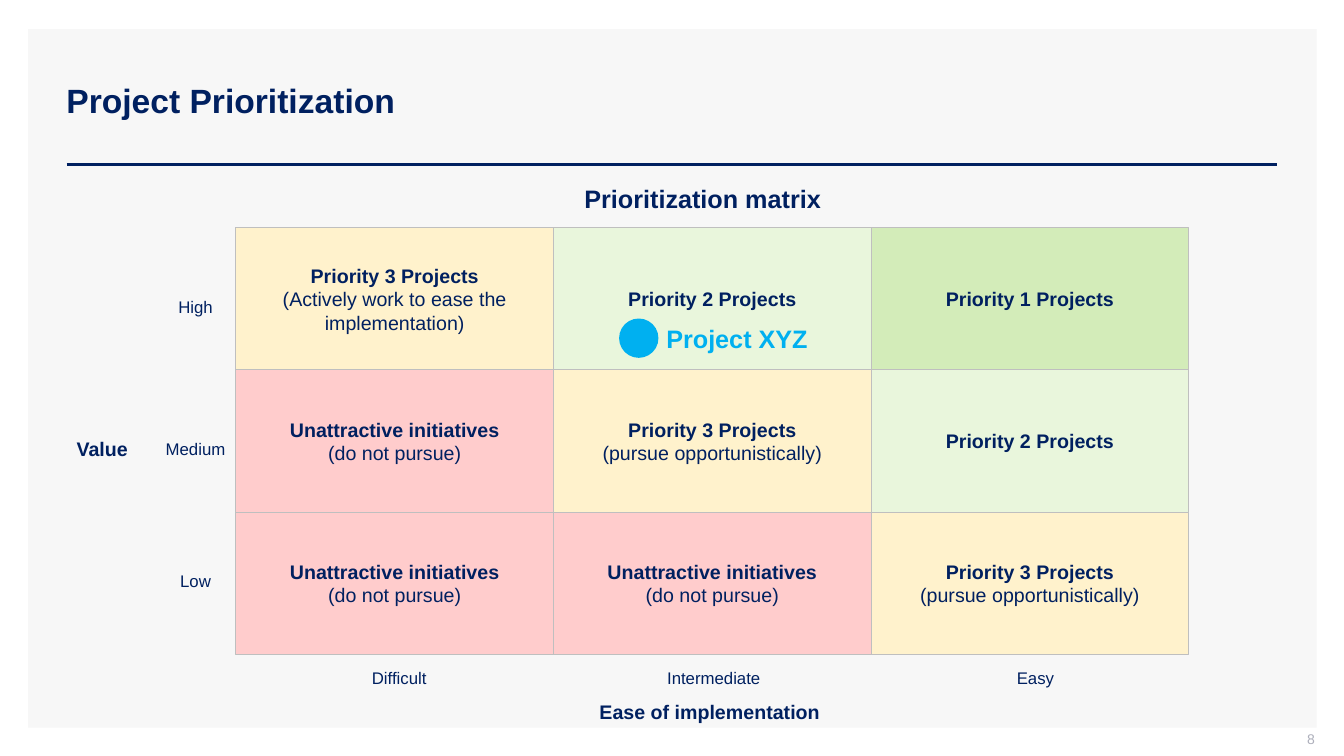
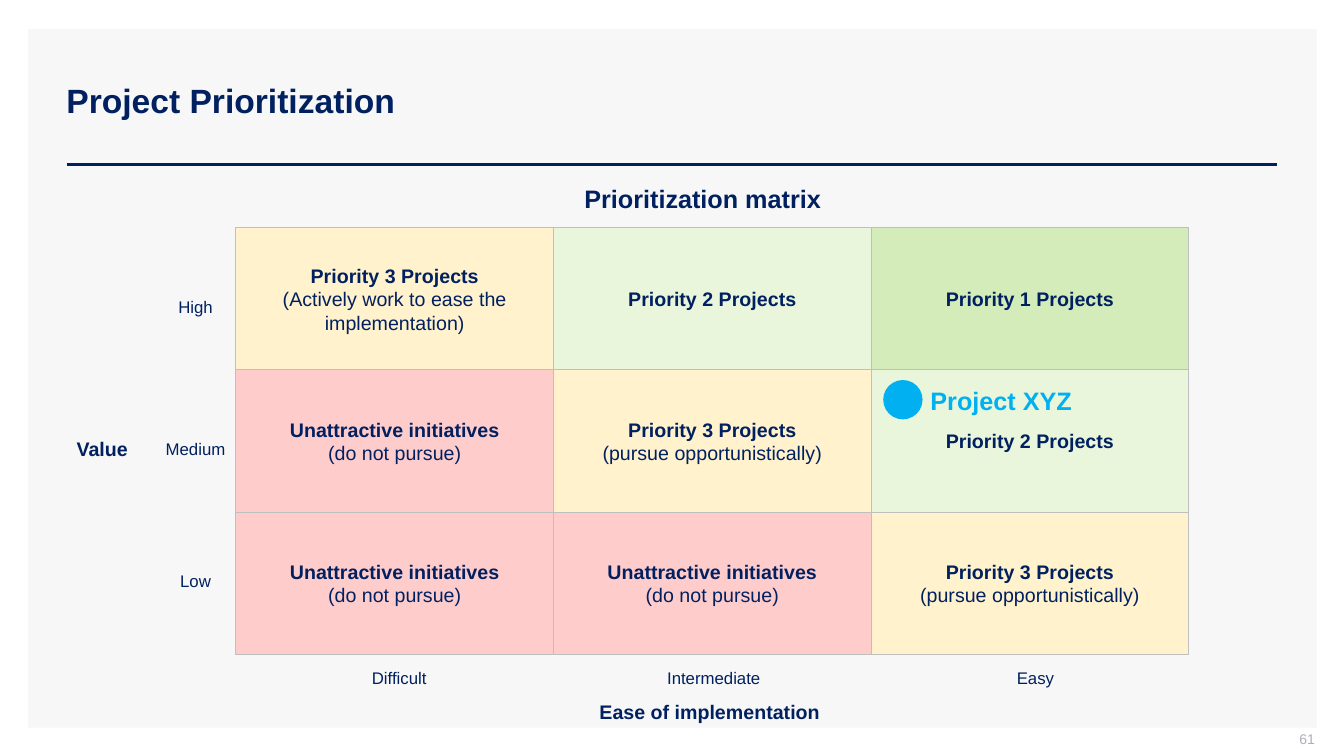
from pptx import Presentation
from pptx.dml.color import RGBColor
from pptx.enum.shapes import MSO_CONNECTOR, MSO_SHAPE
from pptx.enum.text import MSO_ANCHOR, PP_ALIGN
from pptx.oxml.ns import qn
from pptx.util import Inches, Pt
from lxml import etree

LEFT, CENTER, RIGHT = PP_ALIGN.LEFT, PP_ALIGN.CENTER, PP_ALIGN.RIGHT
TOP, MIDDLE = MSO_ANCHOR.TOP, MSO_ANCHOR.MIDDLE
RECTANGLE, OVAL = MSO_SHAPE.RECTANGLE, MSO_SHAPE.OVAL
STRAIGHT = MSO_CONNECTOR.STRAIGHT

FONT = "Arial"
NAVY, BLUE, GRAY = "002060", "00B0F0", "ADAFBB"
PANEL, BORDER = "F7F7F7", "BFBFBF"
GREEN, PALE_GREEN, YELLOW, RED = "D3ECB9", "E9F6DC", "FFF2CC", "FFCCCC"

DEFAULT_INSETS = (0.1, 0.05, 0.1, 0.05)
AXIS_INSETS = (0.2, 0.1, 0.2, 0.1)

MATRIX_LEFT, MATRIX_TOP = 2.34, 2.26
CELL_WIDTH, CELL_HEIGHT = 3.15, 1.41

PRIORITY_1 = (GREEN, "Priority 1 Projects", "")
PRIORITY_2 = (PALE_GREEN, "Priority 2 Projects", "")
EASE_FIRST = (YELLOW, "Priority 3 Projects", "(Actively work to ease the implementation)")
OPPORTUNISTIC = (YELLOW, "Priority 3 Projects", "(pursue opportunistically)")
UNATTRACTIVE = (RED, "Unattractive initiatives", "(do not pursue)")
MATRIX = [
    [EASE_FIRST, PRIORITY_2, PRIORITY_1],
    [UNATTRACTIVE, OPPORTUNISTIC, PRIORITY_2],
    [UNATTRACTIVE, UNATTRACTIVE, OPPORTUNISTIC],
]

# Value labels by top, ease labels by centre
VALUE_LEVELS = [("High", 2.89), ("Medium", 4.3), ("Low", 5.61)]
EASE_LEVELS = [("Difficult", 3.96), ("Intermediate", 7.08), ("Easy", 10.27)]
VALUE_CENTER, EASE_TOP = 1.94, 6.58
LABEL_WIDTH, LABEL_HEIGHT = 1.2, 0.3

DOT_SIZE, DOT_TO_NAME = 0.39, 0.37

# Page number, left and top of the project dot
SLIDES = [("8", 6.14, 3.16), ("61", 8.76, 3.77)]


def rgb(color):
    return RGBColor.from_string(color)


def write(frame, text, *, size, color=NAVY, bold=False, align=LEFT, anchor=TOP,
          insets=DEFAULT_INSETS, note=""):
    """Fill a text frame; note follows on a new line in regular weight."""
    frame.word_wrap = True
    frame.vertical_anchor = anchor
    (frame.margin_left, frame.margin_top,
     frame.margin_right, frame.margin_bottom) = map(Inches, insets)
    paragraph = frame.paragraphs[0]
    paragraph.alignment = align
    for words, weight in ((text, bold), (note, False)):
        if not words:
            continue
        if paragraph.runs:
            paragraph.add_line_break()
        run = paragraph.add_run()
        run.text = words
        run.font.name = FONT
        run.font.size = Pt(size)
        run.font.bold = weight
        run.font.color.rgb = rgb(color)


def add_text(slide, left, top, width, height, text, **text_format):
    box = slide.shapes.add_textbox(*map(Inches, (left, top, width, height)))
    write(box.text_frame, text, **text_format)


def add_filled(slide, kind, left, top, width, height, fill, border=None):
    shape = slide.shapes.add_shape(kind, *map(Inches, (left, top, width, height)))
    shape.shadow.inherit = False
    shape.fill.solid()
    shape.fill.fore_color.rgb = rgb(fill)
    if border:
        shape.line.color.rgb = rgb(border)
        shape.line.width = Pt(0.75)
    else:
        shape.line.fill.background()
    return shape


def add_rule(slide, left, right, y):
    rule = slide.shapes.add_connector(
        STRAIGHT, Inches(left), Inches(y), Inches(right), Inches(y))
    rule.line.color.rgb = rgb(NAVY)
    rule.line.width = Pt(2)
    etree.SubElement(rule._element.spPr, qn("a:effectLst"))


def add_frame(slide, title, page):
    """Panel, title, rule and page number shared by all slides."""
    add_filled(slide, RECTANGLE, 0.28, 0.29, 12.78, 6.93, PANEL)
    add_rule(slide, 0.66, 12.67, 1.63)
    add_text(slide, 0.56, 0.4, 12.11, 1.19, title, size=24, bold=True, anchor=MIDDLE)
    add_text(slide, 10.04, 7.25, 3, 0.21, page, size=10, color=GRAY,
             align=RIGHT, anchor=MIDDLE, insets=(0.1, 0, 0, 0.05))


def add_level(slide, center, top, level):
    add_text(slide, center - LABEL_WIDTH / 2, top, LABEL_WIDTH, LABEL_HEIGHT,
             level, size=12, align=CENTER)


def add_axes(slide):
    add_text(slide, 0.56, 4.23, 1, 0.43, "Value",
             size=14, bold=True, insets=AXIS_INSETS)
    add_text(slide, 5.54, 6.84, 3, 0.43, "Ease of implementation",
             size=14, bold=True, align=CENTER, insets=AXIS_INSETS)
    for level, top in VALUE_LEVELS:
        add_level(slide, VALUE_CENTER, top, level)
    for level, center in EASE_LEVELS:
        add_level(slide, center, EASE_TOP, level)


def add_matrix(slide):
    add_text(slide, 4.94, 1.82, 4.06, 0.3, "Prioritization matrix", size=18, bold=True,
             align=CENTER, anchor=MIDDLE, insets=(0.08, 0, 0.08, 0))
    for row, cells in enumerate(MATRIX):
        for column, (fill, heading, note) in enumerate(cells):
            cell = add_filled(slide, RECTANGLE,
                              MATRIX_LEFT + column * CELL_WIDTH,
                              MATRIX_TOP + row * CELL_HEIGHT,
                              CELL_WIDTH, CELL_HEIGHT, fill, BORDER)
            write(cell.text_frame, heading, note=note, size=14, bold=True,
                  align=CENTER, anchor=MIDDLE)


def add_project(slide, left, top, name):
    add_text(slide, left + DOT_TO_NAME, top, 2.45, 0.4, name,
             size=18, color=BLUE, bold=True)
    add_filled(slide, OVAL, left, top, DOT_SIZE, DOT_SIZE, BLUE)


def main():
    deck = Presentation()
    deck.slide_width, deck.slide_height = Inches(13.33), Inches(7.5)
    blank = deck.slide_layouts[6]
    for page, dot_left, dot_top in SLIDES:
        slide = deck.slides.add_slide(blank)
        add_frame(slide, "Project Prioritization", page)
        add_axes(slide)
        add_matrix(slide)
        add_project(slide, dot_left, dot_top, "Project XYZ")
    deck.save("out.pptx")


if __name__ == "__main__":
    main()
